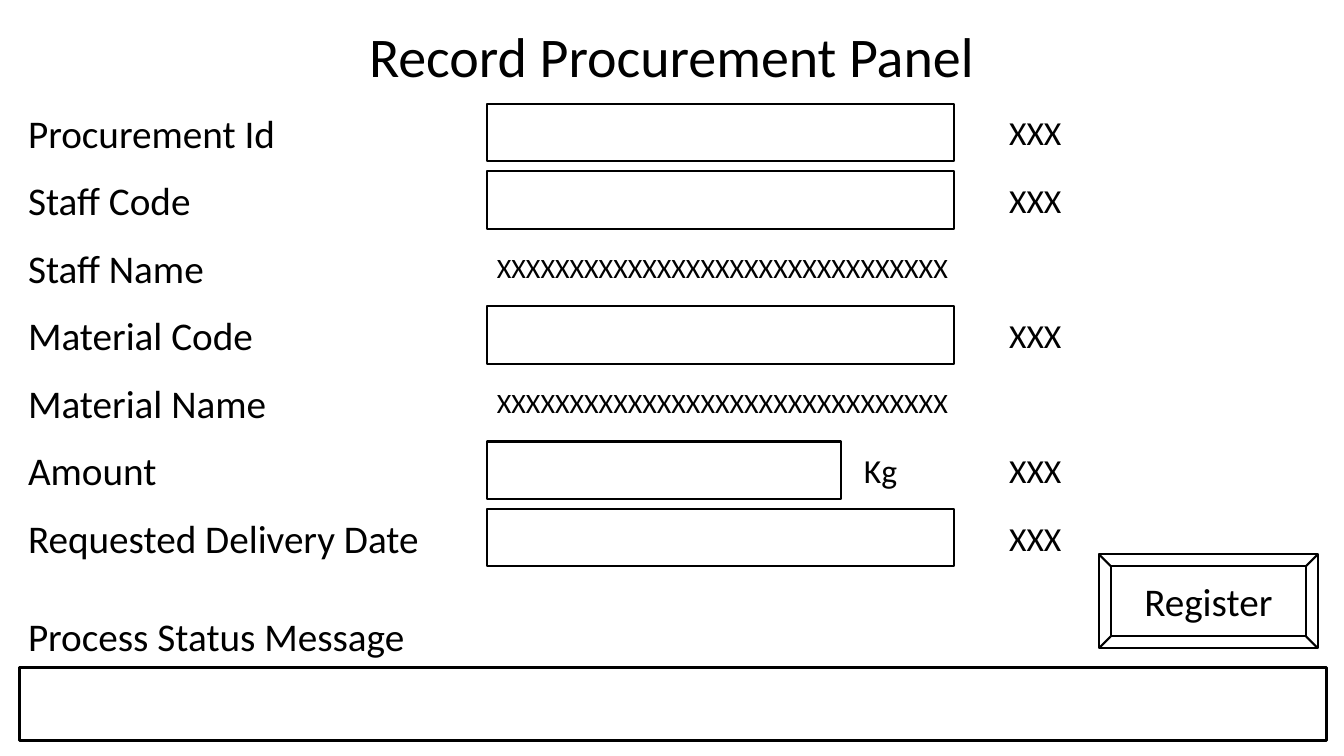
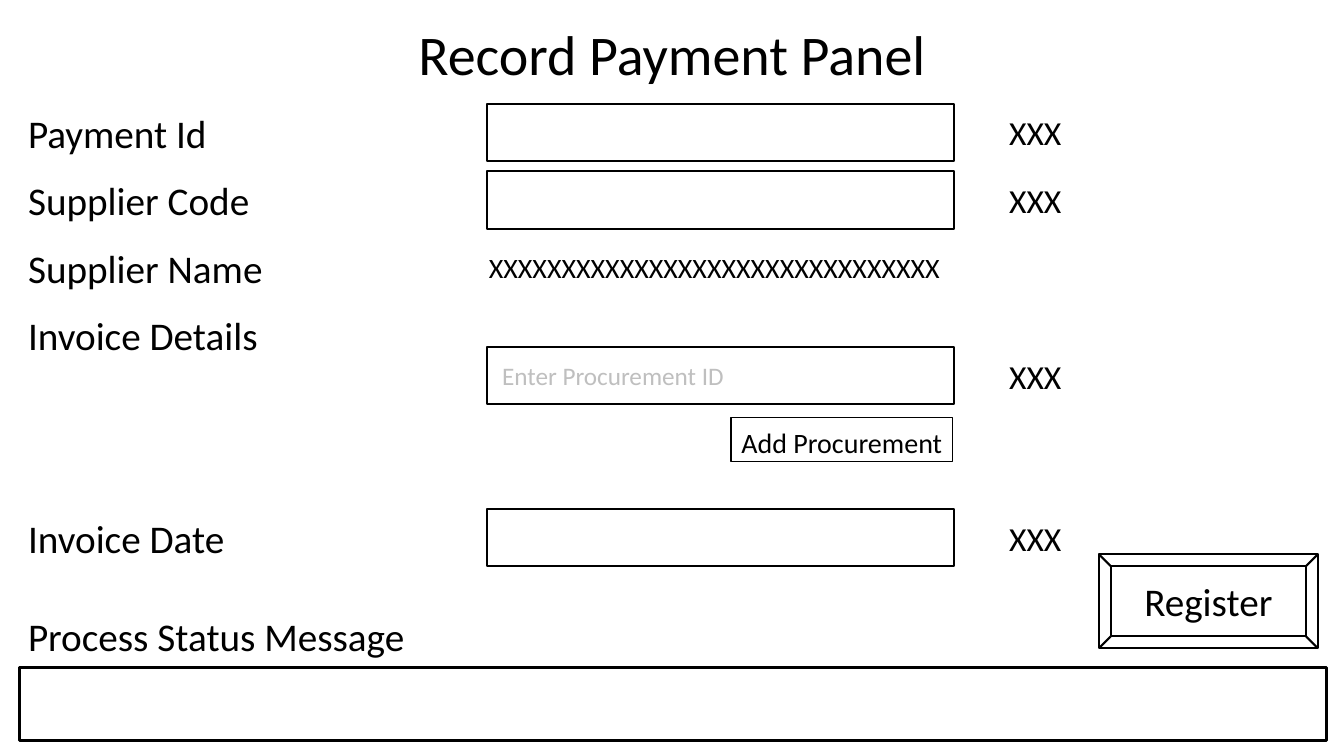
import pptx
import pptx.dml.color
import pptx.enum.shapes
import pptx.enum.text
import pptx.util

SHAPE = pptx.enum.shapes.MSO_SHAPE
ALIGN = pptx.enum.text.PP_ALIGN
MIDDLE = pptx.enum.text.MSO_ANCHOR.MIDDLE

WIDTH, HEIGHT = 13.33, 7.5
FONT, INK, HINT = "Calibri", "000000", "BFBFBF"
LABEL_LEFT, FIELD_LEFT, CHECK_LEFT = 0.18, 4.83, 9.91
FIELD_WIDTH, SHORT_WIDTH, CHECK_WIDTH = 4.63, 3.51, 0.73
ROW_TOP, ROW_PITCH, ROW_HEIGHT = 1.03, 0.67, 0.57
NAME_MASK, CHECK_MASK = "X" * 31, "XXX"


def color(code):
    """Turn a hex string into a colour."""
    return pptx.dml.color.RGBColor.from_string(code)


def inches(box):
    """Convert left, top, width and height to lengths."""
    return [pptx.util.Inches(value) for value in box]


def write(shape, text, size, code=INK, align=ALIGN.LEFT, inset=0.1):
    """Write one vertically centred line of text into a shape."""
    frame = shape.text_frame
    frame.word_wrap = True
    frame.vertical_anchor = MIDDLE
    frame.margin_left = frame.margin_right = pptx.util.Inches(inset)
    para = frame.paragraphs[0]
    para.text = text
    para.alignment = align
    para.font.name = FONT
    para.font.size = pptx.util.Pt(size)
    para.font.color.rgb = color(code)


def add_text(page, box, text, size):
    """Place a text box."""
    write(page.shapes.add_textbox(*inches(box)), text, size)


def add_outline(page, box, line=1.5, kind=SHAPE.RECTANGLE):
    """Place an unfilled shape with a black outline."""
    shape = page.shapes.add_shape(kind, *inches(box))
    shape.shadow.inherit = False
    shape.fill.background()
    shape.line.color.rgb = color(INK)
    shape.line.width = pptx.util.Pt(line)
    return shape


def row_top(row):
    """Give the top of a form row."""
    return ROW_TOP + row * ROW_PITCH


def add_label(page, row, text):
    """Place the caption of a form row."""
    box = LABEL_LEFT, row_top(row), FIELD_LEFT - LABEL_LEFT, ROW_HEIGHT
    add_text(page, box, text, 28)


def add_field(page, row, width=FIELD_WIDTH):
    """Place an input field with its check mask on the right."""
    top = row_top(row)
    field = add_outline(page, (FIELD_LEFT, top, width, ROW_HEIGHT))
    add_text(page, (CHECK_LEFT, top, CHECK_WIDTH, ROW_HEIGHT), CHECK_MASK, 24)
    return field


def add_name(page, row, left=FIELD_LEFT):
    """Place the masked name that the system looks up."""
    add_text(page, (left, row_top(row), 4.78, ROW_HEIGHT), NAME_MASK, 20)


def add_status(page):
    """Place the register button and the status message area."""
    button = add_outline(page, (10.9, 5.5, 2.17, 0.93), kind=SHAPE.BEVEL)
    write(button, "Register", 28, align=ALIGN.CENTER)
    add_text(page, (LABEL_LEFT, 6.02, 4.2, ROW_HEIGHT),
             "Process Status Message", 28)
    add_outline(page, (0.19, 6.62, 12.97, 0.73), line=2.25)


def add_panel(deck, title, title_box, labels):
    """Start a panel slide with title, row captions and status area."""
    page = deck.slides.add_slide(deck.slide_layouts.get_by_name("Title Only"))
    heading = page.shapes.title
    heading.left, heading.top, heading.width, heading.height = inches(title_box)
    write(heading, title, 40)
    for row, text in labels.items():
        add_label(page, row, text)
    add_status(page)
    return page


def add_procurement(deck):
    """Build the panel that records a procurement."""
    labels = dict(enumerate([
        "Procurement Id", "Staff Code", "Staff Name", "Material Code",
        "Material Name", "Amount", "Requested Delivery Date"]))
    page = add_panel(deck, "Record Procurement Panel",
                     (3.56, 0.16, 6.35, 0.77), labels)
    for row in (0, 1, 3, 6):
        add_field(page, row)
    for row in (2, 4):
        add_name(page, row)
    add_field(page, 5, SHORT_WIDTH)
    add_text(page, (8.47, row_top(5), 0.59, ROW_HEIGHT), "Kg", 24)


def add_payment(deck):
    """Build the panel that records a payment."""
    labels = {0: "Payment Id", 1: "Supplier Code", 2: "Supplier Name",
              3: "Invoice Details", 6: "Invoice Date"}
    page = add_panel(deck, "Record Payment Panel",
                     (4.05, 0.14, 5.25, 0.77), labels)
    for row in (0, 1, 6):
        add_field(page, row)
    add_name(page, 2, left=4.75)
    write(add_field(page, 3.6), "Enter Procurement ID", 18, HINT, inset=0.15)
    button = add_outline(page, (7.25, 4.14, 2.2, 0.44), line=1)
    write(button, "Add Procurement", 20, align=ALIGN.CENTER, inset=0.05)
    button.text_frame.margin_top = pptx.util.Inches(0.1)


def main():
    """Build and save the deck."""
    deck = pptx.Presentation()
    deck.slide_width = pptx.util.Inches(WIDTH)
    deck.slide_height = pptx.util.Inches(HEIGHT)
    add_procurement(deck)
    add_payment(deck)
    deck.save("out.pptx")


main()
